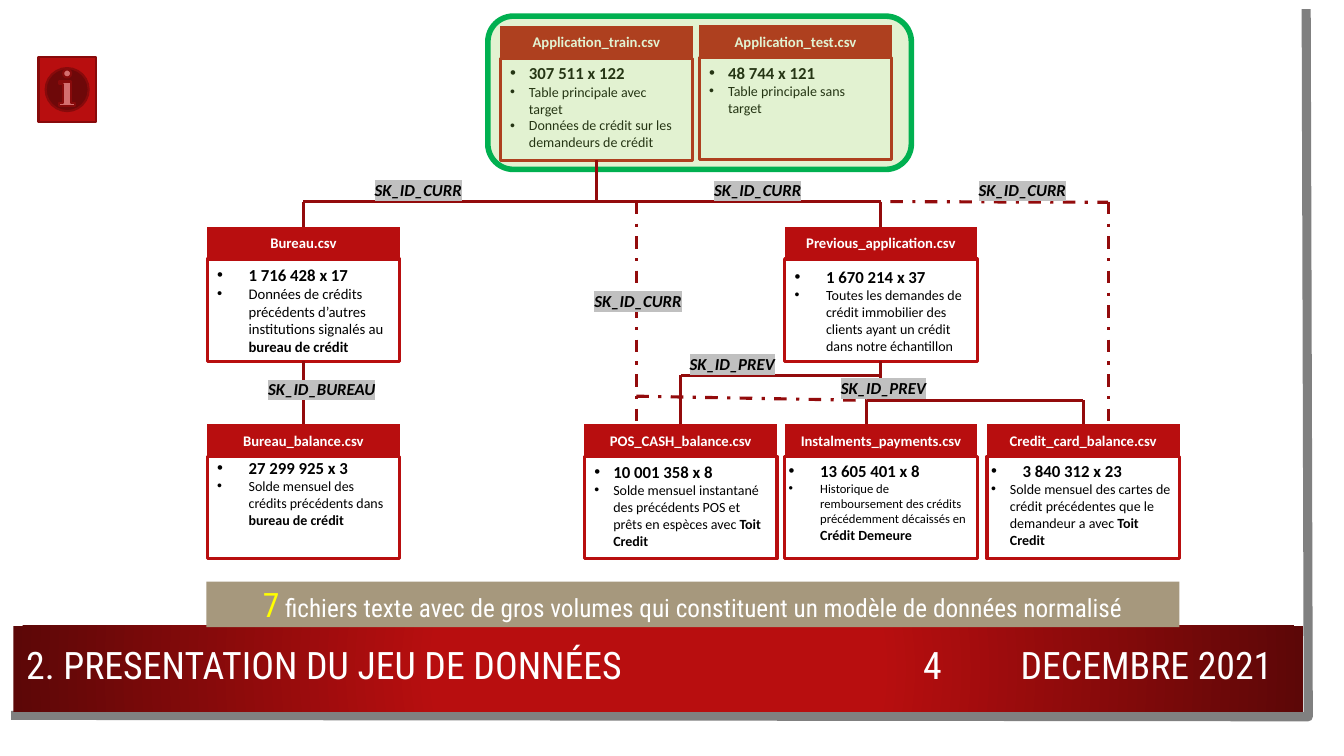
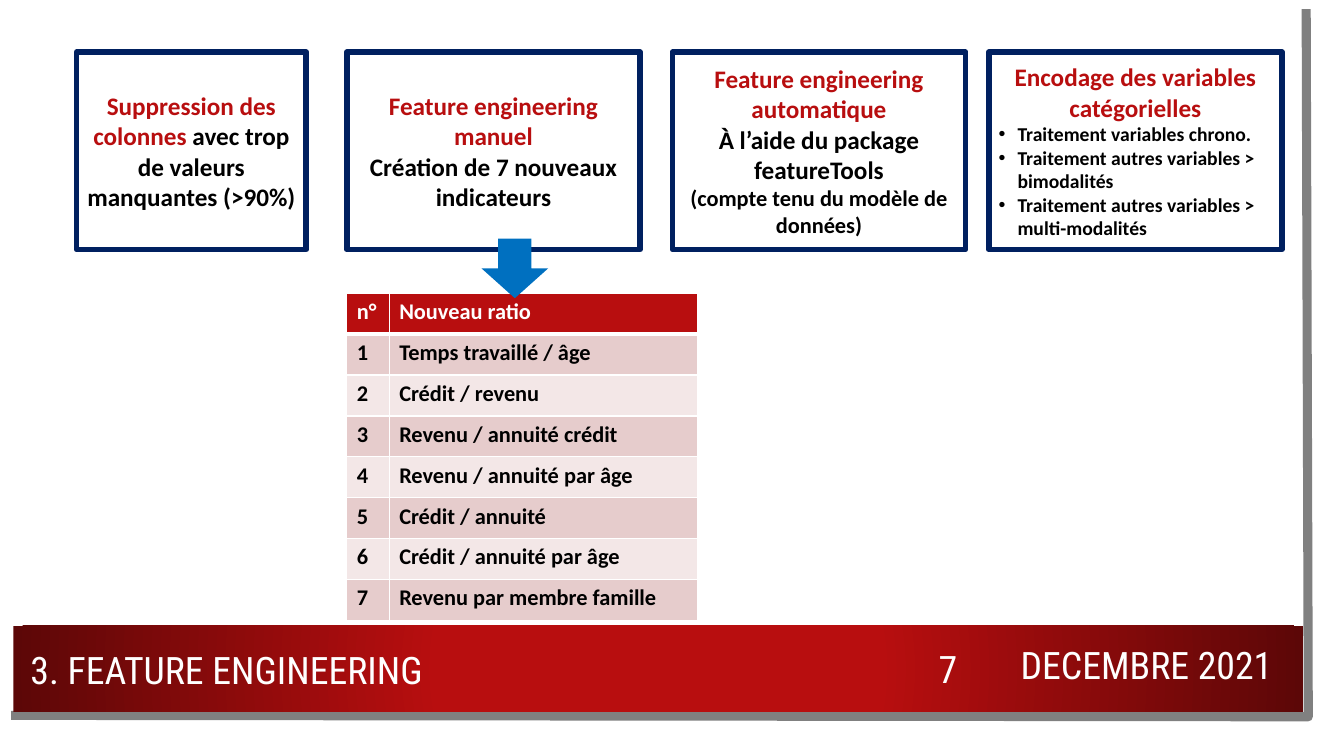
from lxml.etree import SubElement
from pptx import Presentation
from pptx.dml.color import RGBColor
from pptx.enum.dml import MSO_LINE
from pptx.enum.shapes import MSO_CONNECTOR, MSO_SHAPE
from pptx.enum.text import MSO_ANCHOR, MSO_AUTO_SIZE, PP_ALIGN
from pptx.oxml.ns import qn
from pptx.util import Pt

RED, DARK_RED, LINK_RED = "B80E0F", "5C0707", "930B0C"
WHITE, BLACK, NAVY = "FFFFFF", "000000", "002060"
TITLE_FONT, BODY_FONT = "Roboto Condensed", "Calibri"
TITLE_STYLE = dict(size=27, color=WHITE, font=TITLE_FONT)
CARD_WIDTH, HEAD_HEIGHT, BODY_HEIGHT = 137.5, 23, 73


def rgb(color):
    return RGBColor.from_string(color)


def write(frame, text, size=12, color=BLACK, bold=False, italic=False, font=BODY_FONT,
          align=PP_ALIGN.LEFT, indent=0, highlight=None, join=False):
    """Add a paragraph, or with join a span at the end of the last one."""
    para = frame.paragraphs[-1]
    if not join:
        if para.runs:
            para = frame.add_paragraph()
        para.alignment = align
        if indent:
            props = para._p.get_or_add_pPr()
            props.set("marL", str(Pt(indent)))
            props.set("indent", str(-Pt(indent)))
            SubElement(props, qn("a:buFont"), typeface="Arial")
            SubElement(props, qn("a:buChar"), char="•")
    span = para.add_run()
    span.text = text
    span.font.size, span.font.bold, span.font.italic = Pt(size), bold, italic
    span.font.color.rgb = rgb(color)
    span.font.name = font
    if highlight:
        props = span.font._element
        mark = SubElement(props, qn("a:highlight"))
        SubElement(mark, qn("a:srgbClr"), val=highlight)
        props.find(qn("a:latin")).addprevious(mark)


def set_frame(frame, anchor=MSO_ANCHOR.MIDDLE, side_margin=7.2, top_margin=3.6):
    frame.word_wrap = True
    frame.auto_size = MSO_AUTO_SIZE.NONE
    frame.vertical_anchor = anchor
    frame.margin_left = frame.margin_right = Pt(side_margin)
    frame.margin_top, frame.margin_bottom = Pt(top_margin), Pt(3.6)
    return frame


def add_box(page, kind, place, fill, line=None, weight=1.0):
    box = page.shapes.add_shape(kind, *map(Pt, place))
    box.shadow.inherit = False
    box.fill.solid()
    box.fill.fore_color.rgb = rgb(fill)
    if line:
        box.line.color.rgb = rgb(line)
        box.line.width = Pt(weight)
    else:
        box.line.fill.background()
    set_frame(box.text_frame)
    return box


def add_text(page, place, text, anchor=MSO_ANCHOR.MIDDLE, **style):
    box = page.shapes.add_textbox(*map(Pt, place))
    write(set_frame(box.text_frame, anchor), text, **style)


def add_link(page, start, end, dashed=False):
    """Join two ends: a point, or a box left at its bottom and entered at its top."""
    first = start if isinstance(start, tuple) else (0, 0)
    last = end if isinstance(end, tuple) else (0, 0)
    link = page.shapes.add_connector(MSO_CONNECTOR.STRAIGHT, *map(Pt, first + last))
    if start is not first:
        link.begin_connect(start, 2)
    if end is not last:
        link.end_connect(end, 0)
    link.line.color.rgb = rgb(LINK_RED)
    link.line.width = Pt(2.25)
    if dashed:
        link.line.dash_style = MSO_LINE.DASH_DOT
    SubElement(link.element.spPr, qn("a:effectLst"))


def dress_layout(page):
    """Draw the shared edge and band, and keep them on the layout of the page."""
    builder = page.shapes.build_freeform(Pt(933), Pt(6.5))
    builder.add_line_segments([(Pt(934.5), Pt(512)), (Pt(8), Pt(511))], close=False)
    edge = builder.convert_to_shape()
    edge.shadow.inherit = False
    edge.fill.background()
    edge.line.color.rgb = rgb("808080")
    edge.line.width = Pt(6.5)

    band = add_box(page, MSO_SHAPE.RECTANGLE, (9.5, 447, 921.5, 61.5), RED)
    band.fill.gradient()
    for stop, position, color in zip(band.fill.gradient_stops, (0.34, 1), (RED, DARK_RED)):
        stop.position = position
        stop.color.rgb = rgb(color)
    gradient = band.element.spPr.find(qn("a:gradFill"))
    gradient.remove(gradient.find(qn("a:lin")))
    circle = SubElement(gradient, qn("a:path"), path="circle")
    SubElement(circle, qn("a:fillToRect"), l="50000", t="50000", r="50000", b="50000")
    for shape in (edge, band):
        page.slide_layout.shapes.element.append(shape.element)


def add_footer(page, title, title_place, number, number_place):
    heading = page.shapes.title
    heading.left, heading.top, heading.width, heading.height = map(Pt, title_place)
    write(set_frame(heading.text_frame), title, **TITLE_STYLE)
    add_text(page, number_place, number, align=PP_ALIGN.CENTER, **TITLE_STYLE)
    add_text(page, (704, 455, 212, 39.5), "DECEMBRE 2021", align=PP_ALIGN.RIGHT, **TITLE_STYLE)


def add_card(page, left, top, name, count, details, size=10, indent=13.5, count_indent=None,
             ending=None, anchor=MSO_ANCHOR.TOP, **margins):
    """Draw a file card and return its head and body."""
    body = add_box(page, MSO_SHAPE.FLOWCHART_PROCESS,
                   (left, top + HEAD_HEIGHT, CARD_WIDTH, BODY_HEIGHT), WHITE, RED, 2.25)
    frame = set_frame(body.text_frame, anchor, **margins)
    write(frame, count, bold=True, indent=count_indent or indent)
    for detail in details:
        write(frame, detail, size=size, indent=indent)
    if ending:
        write(frame, ending, size=max(size, 10), bold=True, join=True)
    head = add_box(page, MSO_SHAPE.FLOWCHART_PROCESS, (left, top, CARD_WIDTH, HEAD_HEIGHT), RED)
    write(head.text_frame, name, size=10.5, color=WHITE, bold=True, align=PP_ALIGN.CENTER)
    return head, body


def add_main_tables(page, left, top):
    """Draw the two main files in their green frame and return the training body."""
    add_card(page, left + 151, top + 6.5, "Application_test.csv", "48 744 x 121",
             ["Table principale sans target"])
    _, train = add_card(page, left + 8.75, top + 7, "Application_train.csv", "307 511 x 122",
                        ["Table principale avec target",
                         "Données de crédit sur les demandeurs de crédit"])
    frame = add_box(page, MSO_SHAPE.ROUNDED_RECTANGLE, (left, top, 302.5, 109.5),
                    "92D050", "00B050", 4)
    color = frame.element.spPr.find(qn("a:solidFill"))[0]
    SubElement(color, qn("a:alpha"), val="26000")
    return train


def add_data_model(page):
    train = add_main_tables(page, 348.5, 11.5)
    left, middle, right = 148, 560.5, 705
    upper, lower = 162, 303
    balance, _ = add_card(page, left, lower, "Bureau_balance.csv", "27 299 925 x 3",
                          ["Solde mensuel des crédits précédents dans "], indent=22.5,
                          ending="bureau de crédit", top_margin=0.7)
    bureau, bureau_body = add_card(
        page, left, upper, "Bureau.csv", "1 716 428 x 17",
        ["Données de crédits précédents d’autres institutions signalés au "],
        size=10.5, indent=22.5, ending="bureau de crédit", anchor=MSO_ANCHOR.MIDDLE)
    previous, previous_body = add_card(
        page, middle, upper, "Previous_application.csv", "1 670 214 x 37",
        ["Toutes les demandes de crédit immobilier des clients ayant un crédit "
         "dans notre échantillon"], indent=22.5, anchor=MSO_ANCHOR.MIDDLE)
    cash, _ = add_card(
        page, 417.5, lower, "POS_CASH_balance.csv", "10 001 358 x 8",
        ["Solde mensuel instantané des précédents POS et prêts en espèces avec "],
        ending="Toit Credit")
    add_card(page, middle, lower, "Instalments_payments.csv", "13 605 401 x 8",
             ["Historique de remboursement des crédits précédemment décaissés en "],
             size=9, indent=22.5, ending="Crédit Demeure", side_margin=2.9, top_margin=2.9)
    card, _ = add_card(
        page, right, lower, "Credit_card_balance.csv", "3 840 312 x 23",
        ["Solde mensuel des cartes de crédit précédentes que le demandeur a avec "],
        count_indent=22.5, ending="Toit Credit", side_margin=2.9, top_margin=2.9)

    center = CARD_WIDTH / 2
    bureau_x, train_x, previous_x = left + center, 426, middle + center
    cash_x, card_x, payments_x = 417.5 + center, right + center, 619
    dashed_left, dashed_right = 454.5, 791.5
    trunk, cash_bar, payment_bar = 144, 268, 286
    links = [
        (train, (train_x, trunk)),
        ((previous_x, trunk), (bureau_x, trunk)),
        ((bureau_x, trunk), bureau),
        ((previous_x, trunk), previous),
        (bureau_body, balance),
        (previous_body, (previous_x, payment_bar)),
        ((card_x, payment_bar), card),
        ((payments_x, payment_bar), (payments_x, lower)),
        ((card_x, payment_bar), (payments_x, payment_bar)),
        ((previous_x, cash_bar), (cash_x, cash_bar)),
        ((cash_x, cash_bar), cash),
    ]
    dashed_links = [
        ((dashed_left, trunk), (dashed_left, lower)),
        ((dashed_right, trunk), (dashed_right, lower)),
        ((636, trunk), (dashed_right, 144.5)),
        ((dashed_left, 283), (payments_x, payment_bar)),
    ]
    for start, end in links:
        add_link(page, start, end)
    for start, end in dashed_links:
        add_link(page, start, end, dashed=True)

    for x, y, key in [(692, 125, "CURR"), (503, 125, "CURR"), (260.5, 124.5, "CURR"),
                      (417.5, 204, "CURR"), (485.5, 249, "PREV"), (593.5, 266, "PREV"),
                      (184.5, 267, "BUREAU")]:
        add_text(page, (x, y, 103, 21.5), f"SK_ID_{key}", MSO_ANCHOR.TOP,
                 bold=True, italic=True, highlight="C0C0C0")


def add_data_slide(page):
    add_footer(page, "2. PRESENTATION DU JEU DE DONNÉES", (11.5, 455, 574, 39.5),
               "4", (630.5, 455, 71, 39.5))
    banner = add_box(page, MSO_SHAPE.RECTANGLE, (147.5, 415.5, 695, 32.5), "A6987D")
    write(banner.text_frame, "7", size=24, color="FFFF00", font=TITLE_FONT,
          align=PP_ALIGN.CENTER)
    write(banner.text_frame,
          " fichiers texte avec de gros volumes qui constituent un modèle de données normalisé",
          size=18, color=WHITE, font=TITLE_FONT, join=True)
    add_data_model(page)
    add_box(page, MSO_SHAPE.ACTION_BUTTON_INFORMATION, (27.5, 41, 41, 46), RED, "880A0B", 1.5)


def add_step(page, left, width, title):
    """Draw a navy box with a red title and return its text frame."""
    box = add_box(page, MSO_SHAPE.RECTANGLE, (left, 37.25, width, 141), WHITE, NAVY, 4)
    write(box.text_frame, title, size=18, color=RED, bold=True, align=PP_ALIGN.CENTER)
    return box.text_frame


def add_ratio_table(page, left, top, ratios):
    rows = [("n°", "Nouveau ratio")]
    rows += [(str(number), ratio) for number, ratio in enumerate(ratios, 1)]
    widths, height = (30.25, 220.25), 29.2
    table = page.shapes.add_table(len(rows), 2, Pt(left), Pt(top), Pt(sum(widths)),
                                  Pt(height * len(rows))).table
    table.horz_banding = False
    for column, width in zip(table.columns, widths):
        column.width = Pt(width)
    for index, row in enumerate(rows):
        table.rows[index].height = Pt(height)
        fill = ("F3E7E7", "E6CCCC")[index % 2] if index else RED
        for column, text in enumerate(row):
            cell = table.cell(index, column)
            props = cell._tc.get_or_add_tcPr()
            for side in "LRTB":
                thick = (index, side) in ((0, "B"), (1, "T"))
                border = SubElement(props, qn(f"a:ln{side}"), w=str(Pt(3 if thick else 1)))
                SubElement(SubElement(border, qn("a:solidFill")), qn("a:srgbClr"), val=WHITE)
            cell.fill.solid()
            cell.fill.fore_color.rgb = rgb(fill)
            write(cell.text_frame, text, size=16, bold=True, color=BLACK if index else WHITE)


def add_feature_slide(page):
    add_footer(page, "3. FEATURE ENGINEERING", (14.5, 458.5, 643.5, 39.5),
               "7", (641.5, 458, 71, 39.5))
    bold_center = dict(bold=True, align=PP_ALIGN.CENTER)
    removal = add_step(page, 54.75, 164, "Suppression des colonnes ")
    write(removal, "avec trop de valeurs manquantes (>90%)", size=18, bold=True, join=True)
    manual = add_step(page, 247.75, 209.5, "Feature engineering manuel")
    write(manual, "Création de 7 nouveaux indicateurs", size=18, **bold_center)
    automatic = add_step(page, 480.25, 209.5, "Feature engineering automatique")
    write(automatic, "À l’aide du package featureTools", size=18, **bold_center)
    write(automatic, "(compte tenu du modèle de données)", size=16, **bold_center)
    encoding = add_step(page, 706.25, 209.5, "Encodage des variables catégorielles")
    for target in ("variables chrono.", "autres variables > bimodalités",
                   "autres variables > multi-modalités"):
        write(encoding, f"Traitement {target}", size=14, bold=True, indent=13.5)
    add_ratio_table(page, 247.75, 209.5, [
        "Temps travaillé / âge", "Crédit / revenu", "Revenu / annuité crédit",
        "Revenu / annuité par âge", "Crédit / annuité", "Crédit / annuité par âge",
        "Revenu par membre famille"])
    add_box(page, MSO_SHAPE.DOWN_ARROW, (344, 170.5, 47.5, 42.5), "0070C0")


def main():
    deck = Presentation()
    deck.slide_width, deck.slide_height = Pt(960), Pt(540)
    title_only = deck.slide_layouts[5]
    data_page, feature_page = (deck.slides.add_slide(title_only) for _ in range(2))
    dress_layout(data_page)
    add_data_slide(data_page)
    add_feature_slide(feature_page)
    deck.save("out.pptx")


if __name__ == "__main__":
    main()
